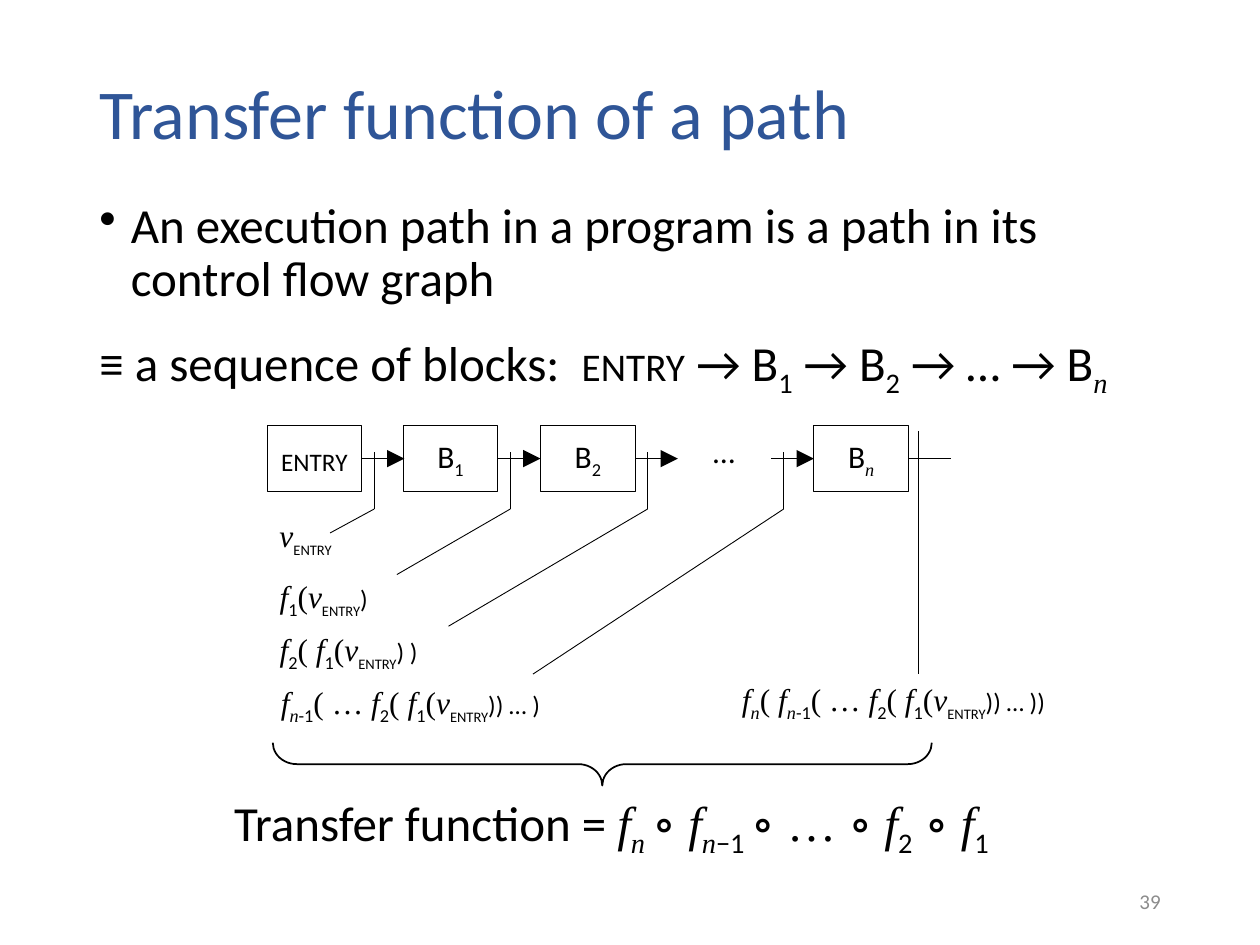
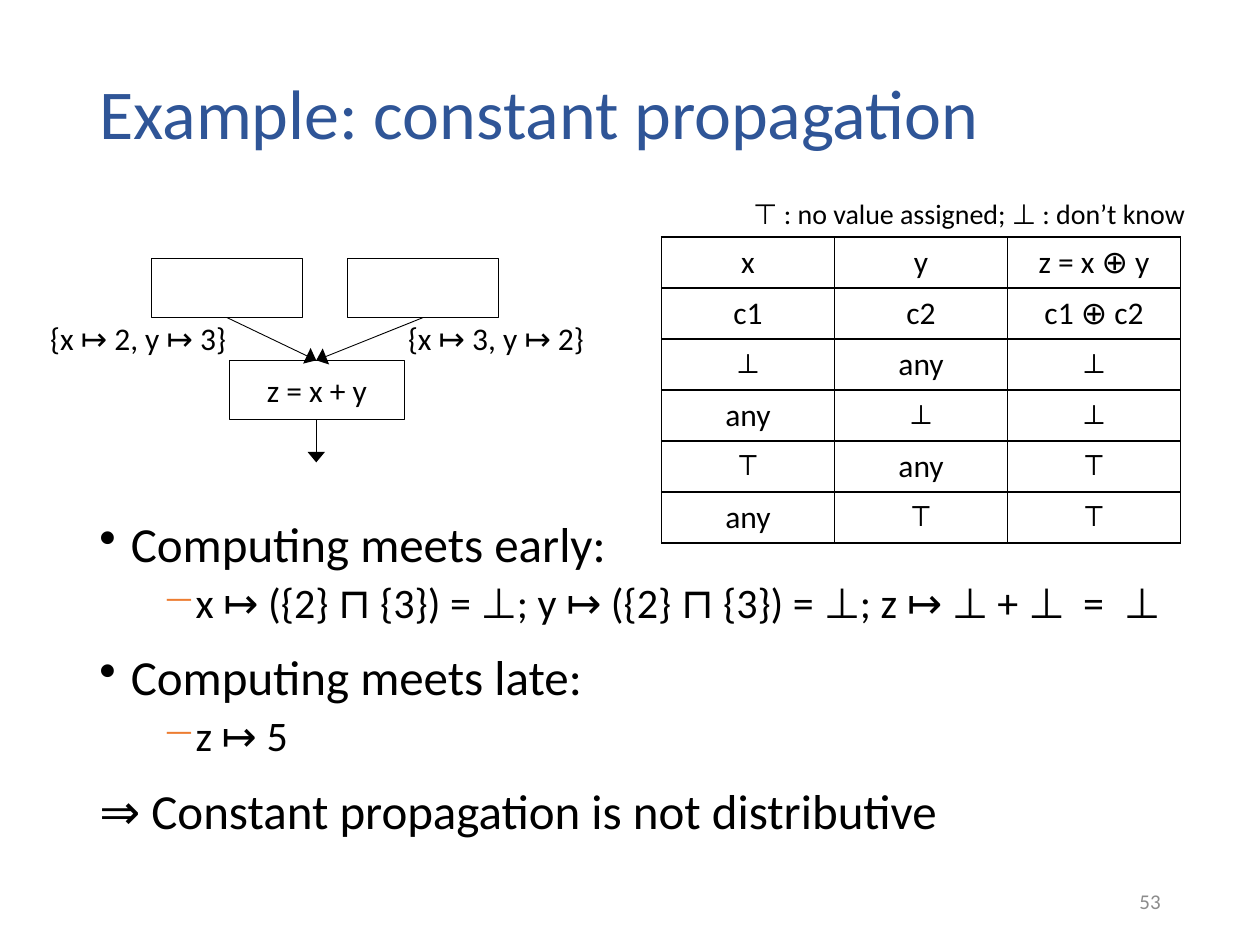
"""Build two lecture slides on transfer functions and constant propagation."""
import lxml.etree
import pptx
import pptx.dml.color
import pptx.enum.shapes
import pptx.enum.text
import pptx.oxml.ns
import pptx.util

PX = 9144
COLORS = {"title": "2F5597", "text": "000000", "number": "8C8C8C", "dash": "ED7D31"}
ALIGN = pptx.enum.text.PP_ALIGN
ANCHOR = pptx.enum.text.MSO_ANCHOR
SHAPES = pptx.enum.shapes.MSO_SHAPE
SERIF = "Times New Roman"
qn = pptx.oxml.ns.qn


def add_text(slide, box, paragraphs, size, color="text", align=ALIGN.LEFT,
             anchor=ANCHOR.TOP, wrap=True, outlined=False):
    """Add a text box or outlined box; run styles: i italic, t serif, b subscript, s small caps."""
    place = [length * PX for length in box]
    if outlined:
        shape = slide.shapes.add_shape(SHAPES.RECTANGLE, *place)
        shape.shadow.inherit = False
        shape.fill.background()
        shape.line.color.rgb = pptx.dml.color.RGBColor.from_string(COLORS["text"])
        shape.line.width = pptx.util.Pt(0.5)
    else:
        shape = slide.shapes.add_textbox(*place)
    frame = shape.text_frame
    frame.word_wrap = wrap
    frame.vertical_anchor = anchor
    if outlined:
        frame.margin_left = frame.margin_right = 0
    if not wrap:
        frame.auto_size = pptx.enum.text.MSO_AUTO_SIZE.SHAPE_TO_FIT_TEXT
    for index, runs in enumerate(paragraphs):
        paragraph = frame.add_paragraph() if index else frame.paragraphs[0]
        paragraph.alignment = align
        for text, style in runs:
            run = paragraph.add_run()
            run.text = text
            run.font.size = pptx.util.Pt(size)
            run.font.name = SERIF if "t" in style else "Calibri"
            run.font.italic = "i" in style
            run.font.color.rgb = pptx.dml.color.RGBColor.from_string(COLORS[color])
            if "b" in style:
                run.font._element.set("baseline", "-25000")
            if "s" in style:
                run.font._element.set("cap", "small")
    return frame


def add_line(slide, start, end, head_length=None):
    """Add a thin straight line, with an arrowhead at its end if a head length is given."""
    points = [length * PX for length in (*start, *end)]
    line = slide.shapes.add_connector(pptx.enum.shapes.MSO_CONNECTOR.STRAIGHT, *points)
    line.line.color.rgb = pptx.dml.color.RGBColor.from_string(COLORS["text"])
    line.line.width = pptx.util.Pt(0.5)
    properties = line._element.spPr
    if head_length:
        lxml.etree.SubElement(properties.find(qn("a:ln")), qn("a:tailEnd"),
                              type="triangle", w="lg", len=head_length)
    lxml.etree.SubElement(properties, qn("a:effectLst"))


presentation = pptx.Presentation()
presentation.slide_width = 1000 * PX
presentation.slide_height = 750 * PX

body_styles = {
    "bullet": {"size": 28, "margin": 25, "indent": -25, "before": 10, "char": "•"},
    "dash": {"size": 24, "margin": 75, "indent": -25, "before": 5, "char": "−"},
    "plain": {"size": 28, "margin": 0, "indent": 0, "before": 10, "char": None},
}
pages = [
    {"title": "Transfer function of a path", "number": "39", "box": (69, 155, 862, 173),
     "body": [
         ("bullet", 5, [("An execution path in a program is a path in its control flow graph", "")]),
         ("plain", 5, [("≡ a sequence of blocks:  ", ""), ("entry", "s"), (" → B", ""), ("1", "b"),
                       (" → B", ""), ("2", "b"), (" → … → B", ""), ("n", "itb")]),
     ]},
    {"title": "Example: constant propagation", "number": "53", "box": (69, 408, 862, 268),
     "body": [
         ("bullet", 0, [("Computing meets early:", "")]),
         ("dash", 5, [("x ↦ ({2} ⊓ {3}) = ⊥; y ↦ ({2} ⊓ {3}) = ⊥; z ↦ ⊥ + ⊥  =  ⊥", "")]),
         ("bullet", 0, [("Computing meets late:", "")]),
         ("dash", 5, [("z ↦ 5", "")]),
         ("plain", 5, [("⇒ Constant propagation is not distributive", "")]),
     ]},
]
slides = []
for page in pages:
    slide = presentation.slides.add_slide(presentation.slide_layouts[6])
    slides.append(slide)
    title = add_text(slide, (69, 40, 862, 105), [[(page["title"], "")]], 40, "title",
                     anchor=ANCHOR.MIDDLE)
    title.paragraphs[0].line_spacing = 0.9
    add_text(slide, (706, 695, 225, 40), [[(page["number"], "")]], 12, "number",
             align=ALIGN.RIGHT, anchor=ANCHOR.MIDDLE)
    body = add_text(slide, page["box"], [runs for _, _, runs in page["body"]], 28)
    for index, (kind, after, _) in enumerate(page["body"]):
        style = body_styles[kind]
        paragraph = body.paragraphs[index]
        properties = paragraph._p.get_or_add_pPr()
        properties.set("marL", str(style["margin"] * PX))
        properties.set("indent", str(style["indent"] * PX))
        if kind == "dash":
            paragraph.level = 1
            bullet_color = lxml.etree.SubElement(properties, qn("a:buClr"))
            lxml.etree.SubElement(bullet_color, qn("a:srgbClr"), val=COLORS["dash"])
        if style["char"]:
            lxml.etree.SubElement(properties, qn("a:buChar"), char=style["char"])
        paragraph.line_spacing = 0.9
        paragraph.space_before = pptx.util.Pt(style["before"] if index else 0)
        paragraph.space_after = pptx.util.Pt(after)
        for run in paragraph.runs:
            run.font.size = pptx.util.Pt(style["size"])

path_slide, example_slide = slides

blocks = [
    [("entry", "s")],
    [("B", ""), ("1", "b")],
    [("B", ""), ("2", "b")],
    [("…", "")],
    [("B", ""), ("n", "itb")],
]
label_ends = [(262, 423), (315, 456), (356, 497), (423, 535)]
for index, runs in enumerate(blocks):
    left = 212 + 217 * index // 2
    is_block = index != 3
    is_last = index == len(blocks) - 1
    add_text(path_slide, (left, 338, 75, 52), [runs], 18, align=ALIGN.CENTER,
             anchor=ANCHOR.MIDDLE if is_block else ANCHOR.TOP, outlined=is_block)
    add_line(path_slide, (left + 75, 364), (left + 109, 364), None if is_last else "lg")
    if is_last:
        add_line(path_slide, (left + 83, 342), (left + 83, 535))
    else:
        add_line(path_slide, (left + 85, 359), (left + 85, 404))
        add_line(path_slide, (left + 85, 404), label_ends[index])

v_entry = [("v", "it"), ("entry", "bs")]
f_1 = [("f", "it"), ("1", "b")]
f_2 = [("f", "it"), ("2", "b")]
f_n = [("f", "it"), ("n", "itb")]
f_1_of_v = f_1 + [("(", "t")] + v_entry
f_2_of_f_1 = f_2 + [("( ", "t")] + f_1_of_v
chain = f_n + [("-1", "b"), ("( … ", "t")] + f_2_of_f_1
composition = ([("Transfer function = ", ""), ("f", "it"), ("n ", "itb"), ("∘ ", "t")]
               + f_n + [("−1 ", "b"), ("∘ … ∘ ", "t")] + f_2 + [(" ∘ ", "t")] + f_1)
formulas = [
    ((212, 405, 76, 40), v_entry, 18),
    ((212, 453, 108, 40), f_1_of_v + [(")", "s")], 18),
    ((212, 495, 151, 40), f_2_of_f_1 + [(") )", "s")], 18),
    ((213, 537, 258, 40), chain + [(")) … )", "s")], 18),
    ((579, 535, 301, 40), f_n + [("( ", "t")] + chain + [(")) … ))", "s")], 18),
    ((176, 624, 635, 57), composition, 28),
]
for box, runs, size in formulas:
    add_text(path_slide, box, [runs], size, wrap=False)

brace = path_slide.shapes.add_shape(SHAPES.RIGHT_BRACE, 461 * PX, 345 * PX, 34 * PX, 523 * PX)
brace.rotation = 90
brace.adjustments[0] = 0.56
brace.adjustments[1] = 0.5
brace.shadow.inherit = False
brace.fill.background()
brace.line.color.rgb = pptx.dml.color.RGBColor.from_string(COLORS["text"])
brace.line.width = pptx.util.Pt(1)

flow_boxes = [
    ((120, 205, 120, 47), []),
    ((276, 205, 120, 47), []),
    ((182, 286, 139, 47), [("z = x + y", "")]),
]
for box, runs in flow_boxes:
    add_text(example_slide, box, [runs], 18, align=ALIGN.CENTER, anchor=ANCHOR.MIDDLE,
             outlined=True)
for start, end in [((180, 252), (251, 286)), ((336, 252), (251, 286)), ((251, 333), (251, 367))]:
    add_line(example_slide, start, end, "med")
example_labels = [
    ((30, 248, 163, 40), "{x ↦ 2, y ↦ 3}", 18),
    ((314, 248, 163, 40), "{x ↦ 3, y ↦ 2}", 18),
    ((588, 151, 363, 37), "⊤ : no value assigned; ⊥ : don’t know", 16),
]
for box, text, size in example_labels:
    add_text(example_slide, box, [[(text, "")]], size, wrap=False)

meet_rows = [
    ["x", "y", "z = x ⊕ y"],
    ["c1", "c2", "c1 ⊕ c2"],
    ["⊥", "any", "⊥"],
    ["any", "⊥", "⊥"],
    ["⊤", "any", "⊤"],
    ["any", "⊤", "⊤"],
]
table = example_slide.shapes.add_table(6, 3, 525 * PX, 188 * PX, 412 * PX, 243 * PX).table
table.first_row = False
table.horz_banding = False
for row_index, row in enumerate(meet_rows):
    for column_index, text in enumerate(row):
        cell = table.cell(row_index, column_index)
        cell.text = text
        paragraph = cell.text_frame.paragraphs[0]
        paragraph.alignment = ALIGN.CENTER
        font = paragraph.runs[0].font
        font.size = pptx.util.Pt(18)
        font.name = SERIF if text in "⊥⊤" else "Calibri"
        font.color.rgb = pptx.dml.color.RGBColor.from_string(COLORS["text"])
        properties = cell._tc.get_or_add_tcPr()
        for side in ("a:lnL", "a:lnR", "a:lnT", "a:lnB"):
            border = lxml.etree.SubElement(properties, qn(side), w=str(pptx.util.Pt(1)))
            border_fill = lxml.etree.SubElement(border, qn("a:solidFill"))
            lxml.etree.SubElement(border_fill, qn("a:srgbClr"), val=COLORS["text"])
        cell.fill.background()

presentation.save("out.pptx")
